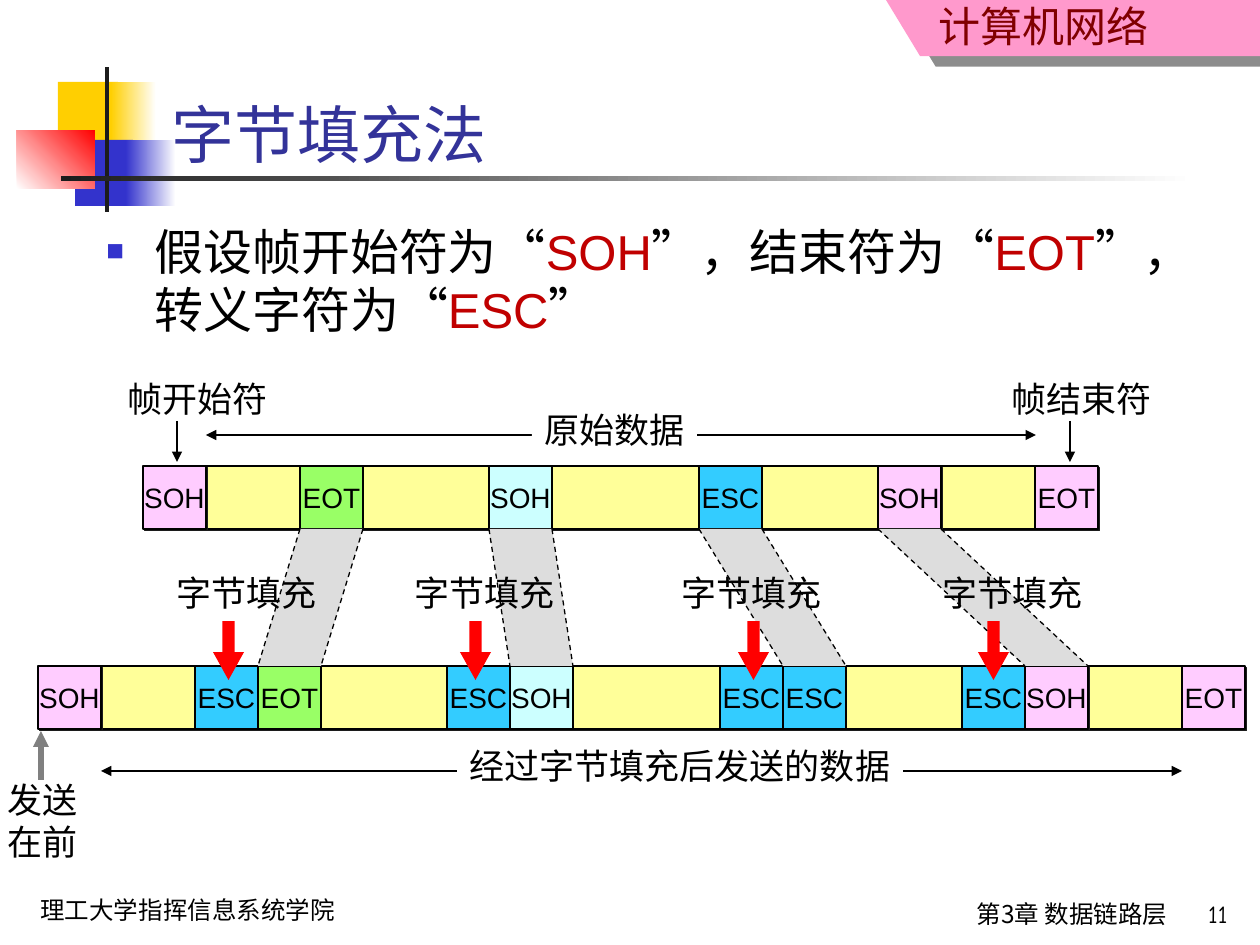
from lxml import etree
from pptx import Presentation
from pptx.dml.color import RGBColor
from pptx.enum.dml import MSO_LINE
from pptx.enum.shapes import MSO_CONNECTOR, MSO_SHAPE
from pptx.enum.text import MSO_ANCHOR, MSO_AUTO_SIZE, PP_ALIGN
from pptx.oxml.ns import qn
from pptx.util import Pt

RECT, DOWN = MSO_SHAPE.RECTANGLE, MSO_SHAPE.DOWN_ARROW
STRAIGHT, DASH = MSO_CONNECTOR.STRAIGHT, MSO_LINE.DASH
LEFT, CENTER, RIGHT = PP_ALIGN.LEFT, PP_ALIGN.CENTER, PP_ALIGN.RIGHT
TOP, MIDDLE, BOTTOM = MSO_ANCHOR.TOP, MSO_ANCHOR.MIDDLE, MSO_ANCHOR.BOTTOM
GROW = MSO_AUTO_SIZE.SHAPE_TO_FIT_TEXT
EMU = 914400 / 126
CJK = "Noto Sans CJK SC"
BLACK, WHITE, DARK, RED = "000000", "FFFFFF", "1C1C1C", "C00000"
PINK, YELLOW, GREEN, CYAN, BLUE = "FFCCFF", "FFFF99", "99FF66", "CCFFFF", "33CCFF"

DECOR = [
    ((58, 82, 60, 65), "FFCF01", None, 0),
    ((111, 82, 45, 65), "FFCF01", WHITE, 0),
    ((75, 140, 58, 66), "3333CC", None, 0),
    ((126, 140, 50, 66), "3333CC", WHITE, 0),
    ((17, 130, 78, 59), WHITE, "FF0000", 45),
    ((105, 67, 4, 145), DARK, None, 0),
    ((61, 176, 1134, 5), DARK, WHITE, 0),
]
BANNER = [(886, 0), (920, 56), (1260, 56), (1260, 0)]
TEXTS = [
    ((28, 889, 392, 43), "理工大学指挥信息系统学院", 14, "Comic Neue", BLACK, LEFT, TOP),
    ((733, 0, 428, 57), "计算机网络", 24, CJK, "800000", RIGHT, TOP),
    ((540, 893, 640, 52), "第3章 数据链路层", 14, CJK, BLACK, RIGHT, TOP),
    ((1140, 893, 100, 48), "11", 14, "Comic Neue", BLACK, RIGHT, TOP),
    ((159, 42, 1007, 135), "字节填充法", 36, "Arial", "333399", LEFT, BOTTOM),
]
BODY = [("假设帧开始符为“", BLACK), ("SOH", RED), ("”，结束符为“", BLACK), ("EOT", RED),
        ("”，转义字符为“", BLACK), ("ESC", RED), ("”", BLACK)]

CELL, TOP_ROW, SENT_ROW = 63, 466, 666
GAPS = [94, 126, 147, 116, 94]
DATA = [("EOT", GREEN), ("SOH", CYAN), ("ESC", BLUE), ("SOH", PINK)]
SPANS = [(435, 206, 1036, "原始数据", 532, 165), (771, 101, 1182, "经过字节填充后发送的数据", 457, 446)]
STUFFING = [(164, 213), (402, 460), (669, 738), (930, 978)]
DELIMITERS = [("帧开始符", 115, 177), ("帧结束符", 999, 1070)]


def px(*values):
    return [round(v * EMU) for v in values]


def rgb(color):
    return RGBColor.from_string(color)


def style(obj, **fmt):
    for name, value in fmt.items():
        setattr(obj, name, value)


def child(parent, tag, **attrs):
    node = etree.SubElement(parent, qn(tag))
    for name, value in attrs.items():
        node.set(name, str(value))
    return node


def finish(sp, fill, line=None, shadow=None):
    sp.shadow.inherit = False
    sp.fill.solid()
    sp.fill.fore_color.rgb = rgb(fill)
    if line:
        sp.line.color.rgb = rgb(line)
        sp.line.width = Pt(0.75)
    else:
        sp.line.fill.background()
    if shadow:
        alpha, dist, angle = shadow
        effects = sp._element.spPr.find(qn("a:effectLst"))
        outer = child(effects, "a:outerShdw", blurRad=0, dist=Pt(dist),
                      dir=angle * 60000, algn="ctr", rotWithShape=0)
        child(child(outer, "a:srgbClr", val=DARK), "a:alpha", val=alpha * 1000)
    return sp


def box(shapes, at, fill, line=None, shadow=None, kind=RECT):
    return finish(shapes.add_shape(kind, *px(*at)), fill, line, shadow)


def polygon(shapes, points, fill, shadow=None):
    builder = shapes.build_freeform(*points[0], scale=EMU)
    builder.add_line_segments(points[1:], close=True)
    return finish(builder.convert_to_shape(), fill, shadow=shadow)


def line(shapes, start, end, color=BLACK, width=0.75, dash=None, ends=()):
    c = shapes.add_connector(STRAIGHT, *px(*start, *end))
    c.line.color.rgb = rgb(color)
    style(c.line, width=Pt(width), dash_style=dash)
    for tag in ends:
        child(c.line._get_or_add_ln(), tag, type="triangle")
    child(c._element.spPr, "a:effectLst")


def write(sp, paragraphs, size, font="Arial", align=LEFT, anchor=TOP, wrap=False):
    tf = sp.text_frame
    style(tf, word_wrap=wrap, vertical_anchor=anchor)
    for i, runs in enumerate(paragraphs):
        p = tf.add_paragraph() if i else tf.paragraphs[0]
        p.alignment = align
        for text, color in runs:
            r = p.add_run()
            r.text = text
            style(r.font, size=Pt(size), name=font)
            r.font.color.rgb = rgb(color)
            rPr = r._r.get_or_add_rPr()
            rPr.set("lang", "zh-CN")
            child(rPr, "a:ea", typeface=CJK)
    return tf


def label(shapes, at, *lines):
    tf = write(shapes.add_textbox(*px(*at)), [[(t, BLACK)] for t in lines], 20)
    tf.auto_size = GROW


def add_frame(shapes, left, top, groups):
    """Draw one frame and return the left edge of the last cell of each group."""
    cells, edges, x = [(left, "SOH", PINK)], [], left + CELL
    start = x
    for gap, group in zip(GAPS, groups + [[("EOT", PINK)]]):
        x += gap
        for text, color in group:
            cells.append((x, text, color))
            x += CELL
        edges.append(x - CELL)
    shadow = (100, 1.4, 45)
    box(shapes, (start, top, edges[-1] - start, CELL), YELLOW, BLACK, shadow)
    for x, text, color in cells:
        sp = box(shapes, (x, top, CELL, CELL), color, BLACK, shadow if color == PINK else None)
        write(sp, [[(text, BLACK)]], 16, align=CENTER, anchor=MIDDLE)
    return edges[:-1]


def main():
    prs = Presentation()
    prs.slide_width, prs.slide_height = px(1260, 945)
    shapes = prs.slides.add_slide(prs.slide_layouts[6]).shapes

    for at, first, last, angle in DECOR:
        sp = box(shapes, at, first)
        if last:
            sp.fill.gradient()
            sp.fill.gradient_angle = angle
            for stop, color in zip(sp.fill.gradient_stops, (first, last)):
                stop.color.rgb = rgb(color)
    polygon(shapes, BANNER, "FF99CC", (50, 10.8, 34))
    for at, text, size, font, color, align, anchor in TEXTS:
        tf = write(shapes.add_textbox(*px(*at)), [[(text, color)]], size, font, align, anchor, True)
        if at[1] == 0:
            tf.margin_top = 0

    upper = add_frame(shapes, 143, TOP_ROW, [[cell] for cell in DATA])
    lower = add_frame(shapes, 38, SENT_ROW, [[("ESC", BLUE), cell] for cell in DATA])
    y1, y2 = TOP_ROW + CELL, SENT_ROW
    for a, b in zip(upper, lower):
        polygon(shapes, [(a, y1), (a + CELL, y1), (b + CELL, y2), (b, y2)], "DDDDDD")
        for dx in (0, CELL):
            line(shapes, (a + dx, y1), (b + dx, y2), dash=DASH)

    for y, x1, x2, text, left, width in SPANS:
        line(shapes, (x1, y), (x2, y), ends=("a:headEnd", "a:tailEnd"))
        sp = box(shapes, (left, y - 33, width, 55), WHITE)
        write(sp, [[(text, BLACK)]], 20)
    for left, arrow in STUFFING:
        label(shapes, (left, 565, 166, 55), "字节填充")
        sp = box(shapes, (arrow, 621, 31, 59), "FF0000", kind=DOWN)
        sp.adjustments[0], sp.adjustments[1] = 0.39, 0.9
    for text, left, x in DELIMITERS:
        line(shapes, (x, 421), (x, 462), ends=("a:tailEnd",))
        label(shapes, (left, 371, 166, 55), text)
    line(shapes, (41, 780), (41, 731), "808080", 3, ends=("a:tailEnd",))
    label(shapes, (-5, 772, 96, 97), "发送", "在前")

    body = write(shapes.add_textbox(*px(94, 215, 1091, 655)), [BODY], 28, wrap=True)
    pPr = body.paragraphs[0]._p.get_or_add_pPr()
    indent = px(48)[0]
    pPr.set("marL", str(indent))
    pPr.set("indent", str(-indent))
    child(child(pPr, "a:buClr"), "a:srgbClr", val="3333CC")
    child(pPr, "a:buSzPct", val=60000)
    child(pPr, "a:buFont", typeface="Arial")
    child(pPr, "a:buChar", char="■")
    prs.save("out.pptx")


if __name__ == "__main__":
    main()
